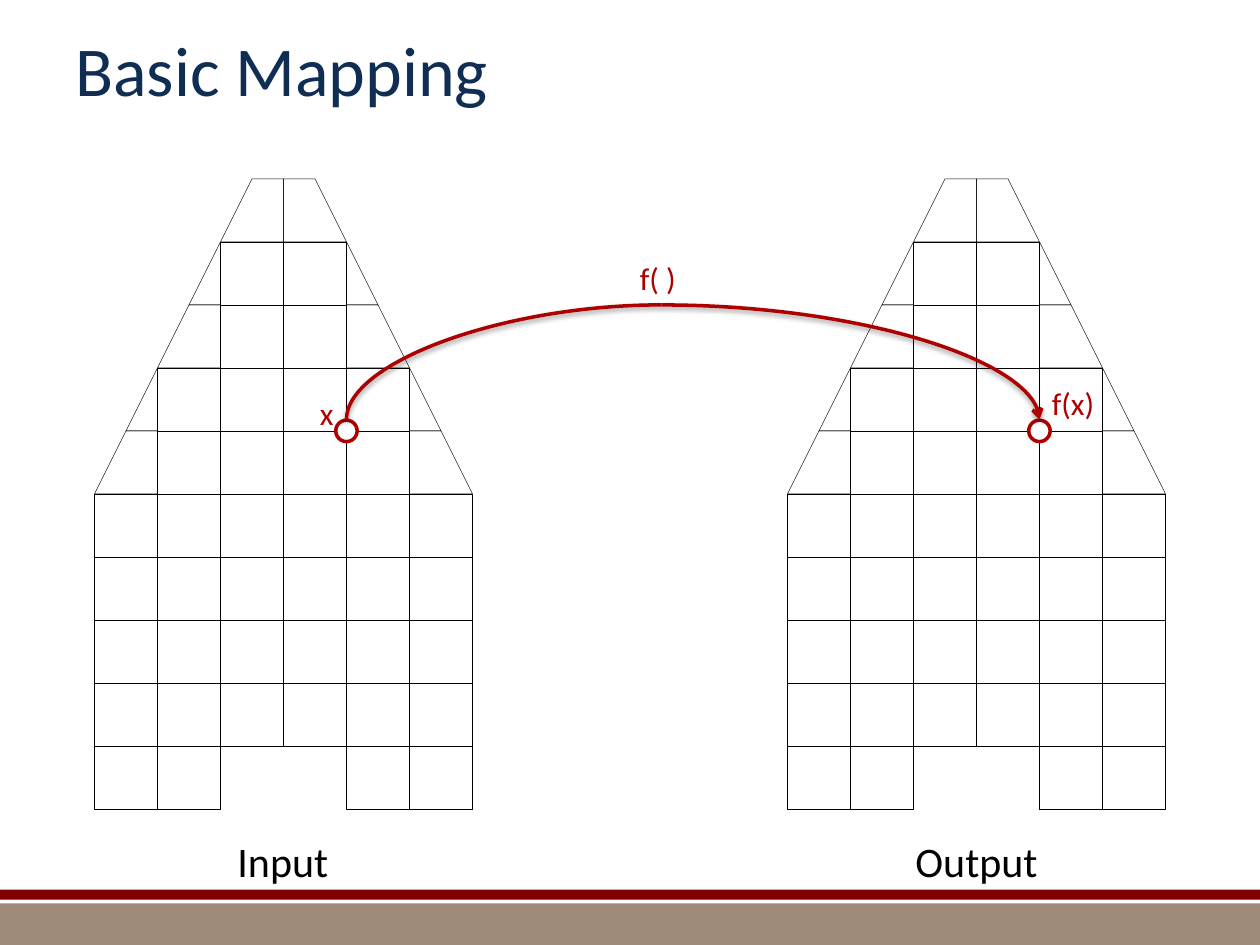
"""Build the Basic Mapping slide: two cell grids joined by a curved mapping arrow."""
from lxml.etree import SubElement
from pptx import Presentation
from pptx.dml.color import RGBColor
from pptx.enum.shapes import MSO_CONNECTOR, MSO_SHAPE
from pptx.enum.text import MSO_ANCHOR, MSO_AUTO_SIZE, PP_ALIGN
from pptx.oxml.ns import qn
from pptx.util import Inches, Pt

WIDTH, HEIGHT = 10, 7.5
CELL, TOP = 0.5, 1.42
CENTERS = [2.25, 7.75]
RED, BLACK = "AD0101", "000000"
BANDS = [(7.17, 0.33, "9E8C78"), (7.06, 0.08, "800000")]
COLUMN_ROWS = [range(1, 9), range(3, 10), range(5, 10)]
TRAPEZOID = [(0, 0), (0, 1), (1, 1), (0.5, 0)]
TRIANGLE = [(0, 0), (0, 1), (0.5, 1)]
EDGE_PIECES = [(0, 0, TRAPEZOID), (1, 1, TRIANGLE), (1, 2, TRAPEZOID),
               (2, 3, TRIANGLE), (2, 4, TRAPEZOID)]
LABELS = [
    ("Input", 1.78, 6.58, 0.93, 0.5, 24, BLACK, PP_ALIGN.CENTER),
    ("Output", 7.16, 6.58, 1.18, 0.5, 24, BLACK, PP_ALIGN.CENTER),
    ("x", 2.44, 3.08, 0.31, 0.4, 18, RED, PP_ALIGN.LEFT),
    ("f(x)", 8.25, 3, 0.54, 0.4, 18, RED, PP_ALIGN.LEFT),
    ("f( )", 4.98, 2.01, 0.49, 0.4, 18, RED, PP_ALIGN.LEFT),
]
DOT = 0.17
POINT_Y = TOP + 4 * CELL
INPUT_X, OUTPUT_X = [center + CELL for center in CENTERS]
ARC_TOP, ARC_BOTTOM, ARC_MIDDLE = 2.42, 3.33, 5.25


def color(value):
    return RGBColor.from_string(value)


def style(shape, fill=None, line=None, weight=0.25):
    shape.shadow.inherit = False
    if fill:
        shape.fill.solid()
        shape.fill.fore_color.rgb = color(fill)
    else:
        shape.fill.background()
    if line:
        shape.line.color.rgb = color(line)
        shape.line.width = Pt(weight)
    else:
        shape.line.fill.background()


def add_preset(shapes, kind, left, top, width, height, **look):
    shape = shapes.add_shape(kind, *map(Inches, (left, top, width, height)))
    style(shape, **look)


def add_text(page, words, left, top, width, height, size, ink, align, wrap=False):
    box = page.shapes.add_textbox(*map(Inches, (left, top, width, height)))
    frame = box.text_frame
    frame.word_wrap = wrap
    if wrap:
        frame.vertical_anchor = MSO_ANCHOR.MIDDLE
    else:
        frame.auto_size = MSO_AUTO_SIZE.SHAPE_TO_FIT_TEXT
    para = frame.paragraphs[0]
    para.alignment = align
    span = para.add_run()
    span.text = words
    span.font.name = "Calibri"
    span.font.size = Pt(size)
    span.font.color.rgb = color(ink)


def add_grid(page, center):
    shapes = page.shapes.add_group_shape().shapes
    for side in (1, -1):
        for column, rows in enumerate(COLUMN_ROWS):
            left = center + CELL * (column if side > 0 else -column - 1)
            for row in rows:
                add_preset(shapes, MSO_SHAPE.RECTANGLE, left, TOP + row * CELL,
                           CELL, CELL, line=BLACK)
        for column, row, outline in EDGE_PIECES:
            points = [(Inches(center + side * CELL * (column + x)),
                       Inches(TOP + CELL * (row + y))) for x, y in outline]
            builder = shapes.build_freeform(*points[0])
            builder.add_line_segments(points[1:], close=True)
            style(builder.convert_to_shape(), line=BLACK)


def add_arc(page, start, end, rising=False, arrow=False):
    if rising:
        middle_x, middle_y = [(a + b) / 2 for a, b in zip(start, end)]
        half_x, half_y = abs(end[1] - start[1]) / 2, abs(end[0] - start[0]) / 2
        start = middle_x + half_x, middle_y + half_y
        end = middle_x - half_x, middle_y - half_y
    arc = page.shapes.add_connector(MSO_CONNECTOR.CURVE, *map(Inches, (*start, *end)))
    arc.line.color.rgb = color(RED)
    arc.line.width = Pt(2)
    properties = arc.element.spPr
    properties.find(qn("a:prstGeom")).set("prst", "curvedConnector2")
    if rising:
        properties.find(qn("a:xfrm")).set("rot", "5400000")
    if arrow:
        SubElement(properties.find(qn("a:ln")), qn("a:tailEnd"), type="arrow")
    effects = SubElement(properties, qn("a:effectLst"))
    shadow = SubElement(effects, qn("a:outerShdw"), blurRad="40000", dist="20000",
                        dir="5400000", rotWithShape="0")
    tint = SubElement(shadow, qn("a:srgbClr"), val=BLACK)
    SubElement(tint, qn("a:alpha"), val="38000")


def main():
    deck = Presentation()
    deck.slide_width, deck.slide_height = Inches(WIDTH), Inches(HEIGHT)
    page = deck.slides.add_slide(deck.slide_layouts[6])
    for top, height, fill in BANDS:
        add_preset(page.shapes, MSO_SHAPE.RECTANGLE, 0, top, WIDTH, height, fill=fill)
    add_text(page, "Basic Mapping", 0.5, 0, 9, 1.08, 40, "102E54", PP_ALIGN.LEFT, wrap=True)
    for center in CENTERS:
        add_grid(page, center)
    for x in (INPUT_X, OUTPUT_X):
        add_preset(page.shapes, MSO_SHAPE.OVAL, x - DOT / 2, POINT_Y - DOT / 2,
                   DOT, DOT, fill="FFFFFF", line=RED, weight=2)
    add_arc(page, (INPUT_X, ARC_BOTTOM), (ARC_MIDDLE, ARC_TOP), rising=True)
    add_arc(page, (ARC_MIDDLE, ARC_TOP), (OUTPUT_X, ARC_BOTTOM), arrow=True)
    for label in LABELS:
        add_text(page, *label)
    deck.save("out.pptx")


if __name__ == "__main__":
    main()
